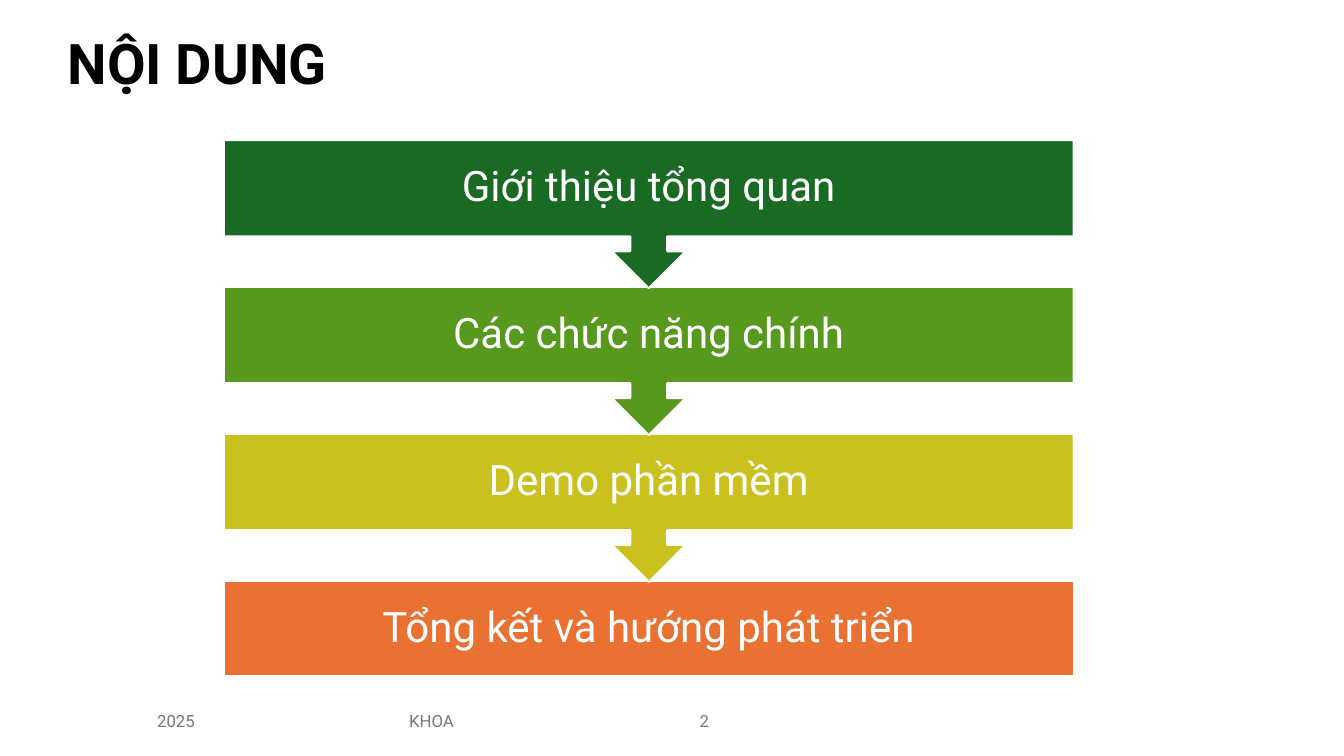
import dataclasses

import pptx
import pptx.dml.color
import pptx.enum.shapes
import pptx.enum.text
import pptx.util

Inches = pptx.util.Inches
Shape = pptx.enum.shapes.MSO_SHAPE
Align = pptx.enum.text.PP_ALIGN
Anchor = pptx.enum.text.MSO_ANCHOR

COLORS = {
    "green": "196B24",
    "lime": "56991D",
    "gold": "CBC11E",
    "orange": "E97132",
    "white": "FFFFFF",
    "black": "000000",
    "gray": "797979",
}
FONT = "Roboto"
LEFT, TOP, WIDTH = 2.22, 1.39, 8.43
PITCH, BAR, CALL = 1.457, 0.95, 1.47
INSET = 0.23


@dataclasses.dataclass
class Step:
    text: str
    color: str


@dataclasses.dataclass
class Note:
    text: str
    left: float
    width: float
    align: Align


STEPS = [
    Step("Giới thiệu tổng quan", "green"),
    Step("Các chức năng chính", "lime"),
    Step("Demo phần mềm", "gold"),
    Step("Tổng kết và hướng phát triển", "orange"),
]
NOTES = [
    Note("2025", 1.46, 1.08, Align.LEFT),
    Note("KHOA", 2.92, 2.72, Align.CENTER),
    Note("2", 6.05, 1.08, Align.RIGHT),
]


def tint(name: str) -> pptx.dml.color.RGBColor:
    return pptx.dml.color.RGBColor.from_string(COLORS[name])


def write(shape, text: str, size: float, color: str, align: Align,
          bold: bool = False) -> None:
    frame = shape.text_frame
    frame.text = text
    frame.word_wrap = True
    frame.vertical_anchor = Anchor.MIDDLE
    line = frame.paragraphs[0]
    line.alignment = align
    line.font.name = FONT
    line.font.size = pptx.util.Pt(size)
    line.font.bold = bold
    line.font.color.rgb = tint(color)


def draw_title(slide, text: str) -> None:
    title = slide.shapes.title
    title.left, title.top = Inches(0.57), Inches(0.23)
    title.width, title.height = Inches(3.56), Inches(0.77)
    write(title, text, 40, "black", Align.LEFT, True)
    title.text_frame.auto_size = pptx.enum.text.MSO_AUTO_SIZE.NONE


def draw_step(slide, step: Step, row: int) -> None:
    last = row == len(STEPS) - 1
    kind = Shape.RECTANGLE if last else Shape.DOWN_ARROW_CALLOUT
    tall = BAR if last else CALL
    box = slide.shapes.add_shape(kind, Inches(LEFT), Inches(TOP + row * PITCH),
                                 Inches(WIDTH), Inches(tall))
    box.shadow.inherit = False
    box.fill.solid()
    box.fill.fore_color.rgb = tint(step.color)
    box.line.color.rgb = tint("white")
    box.line.width = pptx.util.Pt(1.5)
    write(box, step.text, 30, "white", Align.CENTER)
    frame = box.text_frame
    frame.margin_left = frame.margin_right = Inches(INSET)
    frame.margin_top = frame.margin_bottom = Inches(INSET)
    frame.paragraphs[0].line_spacing = 0.9


def draw_note(slide, note: Note) -> None:
    box = slide.shapes.add_textbox(Inches(note.left), Inches(6.95),
                                   Inches(note.width), Inches(0.4))
    write(box, note.text, 12, "gray", note.align)


def main() -> None:
    deck = pptx.Presentation()
    deck.slide_width, deck.slide_height = Inches(13.33), Inches(7.5)
    slide = deck.slides.add_slide(deck.slide_layouts[5])
    draw_title(slide, "NỘI DUNG")
    for note in NOTES:
        draw_note(slide, note)
    for row, step in reversed(list(enumerate(STEPS))):
        draw_step(slide, step, row)
    deck.save("out.pptx")


if __name__ == "__main__":
    main()
